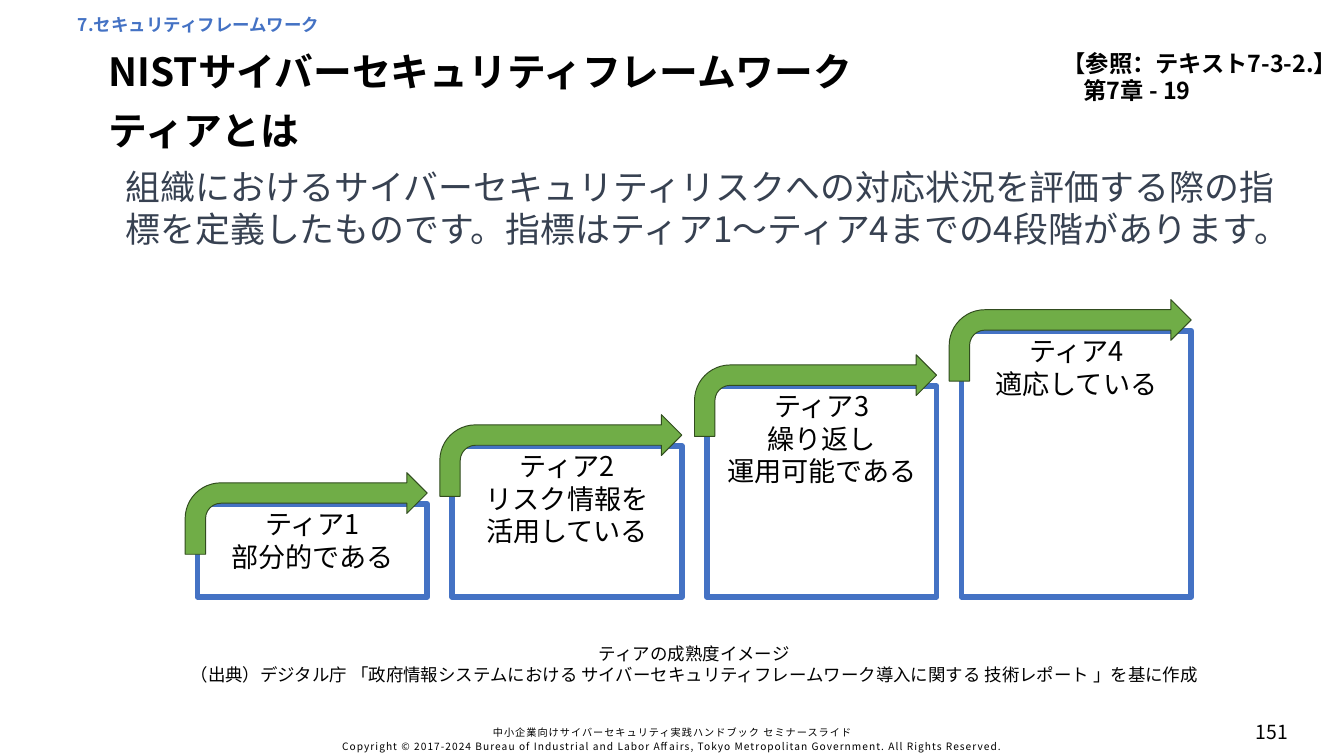
from dataclasses import dataclass

import pptx
import pptx.dml.color
import pptx.enum.shapes
import pptx.enum.text
import pptx.oxml.ns
import pptx.slide
import pptx.text.text
import pptx.util
from lxml import etree
from pptx.util import Cm

FONT = "Noto Sans CJK JP"
LEFT = pptx.enum.text.PP_ALIGN.LEFT
CENTER = pptx.enum.text.PP_ALIGN.CENTER
RIGHT = pptx.enum.text.PP_ALIGN.RIGHT
TOP = pptx.enum.text.MSO_ANCHOR.TOP
MIDDLE = pptx.enum.text.MSO_ANCHOR.MIDDLE

STEP_LEFT = 7.19
STEP_PITCH = 9.27
STEP_WIDTH = 8.36
STEP_BOTTOM = 21.72
ARROW_SHIFT_X = -0.45
ARROW_SHIFT_Y = -1.14
ARROW_WIDTH = 8.81
ARROW_HEIGHT = 2.97


@dataclass(frozen=True)
class Label:
    text: str
    left: float
    top: float
    width: float
    height: float
    size: float
    color: str = "000000"
    bold: bool = False
    aligns: tuple = (LEFT,)
    anchor: pptx.enum.text.MSO_ANCHOR = TOP
    line_spacing: float | pptx.util.Pt | None = None
    tracking: int = 0
    flush: bool = False


@dataclass(frozen=True)
class Tier:
    text: str
    top: float


LABELS = [
    Label("中小企業向けサイバーセキュリティ実践ハンドブック セミナースライド\n"
          "Copyright © 2017-2024 Bureau of Industrial and Labor Affairs, "
          "Tokyo Metropolitan Government. All Rights Reserved.",
          9.5, 26.24, 29.95, 1.3, 10.5, aligns=(CENTER, CENTER),
          anchor=MIDDLE, line_spacing=1.1, tracking=110),
    Label("ティアとは", 3.71, 3.96, 41.5, 1.78, 40, bold=True, line_spacing=0.9),
    Label("151", 44.15, 26.14, 4.29, 0.97, 20, aligns=(CENTER,), anchor=MIDDLE),
    Label("7.セキュリティフレームワーク", 2.84, 0.71, 44.4, 0.64, 18, "4472C4",
          bold=True, line_spacing=pptx.util.Pt(15), flush=True),
    Label("NISTサイバーセキュリティフレームワーク", 3.71, 1.93, 41.5, 1.55, 40,
          bold=True, anchor=MIDDLE, line_spacing=0.9),
    Label("組織におけるサイバーセキュリティリスクへの対応状況を評価する際の指標を"
          "定義したものです。指標はティア1～ティア4までの4段階があります。",
          4.32, 5.89, 42.93, 3.33, 36, "374151"),
    Label("ティアの成熟度イメージ\v（出典）デジタル庁 「政府情報システムにおける "
          "サイバーセキュリティフレームワーク導入に関する 技術レポート 」を基に作成",
          3.53, 23.29, 43.48, 1.8, 18, aligns=(CENTER,)),
    Label("【参照：テキスト7-3-2.】\n第7章 - 19", 33.86, 1.65, 15.06, 2.31, 24,
          bold=True, aligns=(RIGHT, CENTER)),
]

TIERS = [
    Tier("ティア1\n部分的である", 18.34),
    Tier("ティア2\nリスク情報を\n活用している", 16.23),
    Tier("ティア3\n繰り返し\n運用可能である", 14.05),
    Tier("ティア4\n適応している", 12.04),
]


def rgb(value: str) -> pptx.dml.color.RGBColor:
    return pptx.dml.color.RGBColor.from_string(value)


def style_run(run: pptx.text.text._Run, size: float, color: str,
              bold: bool = False, tracking: int = 0) -> None:
    run.font.name = FONT
    run.font.size = pptx.util.Pt(size)
    run.font.bold = bold
    run.font.color.rgb = rgb(color)
    properties = run.font._element
    east_asian = etree.SubElement(properties, pptx.oxml.ns.qn("a:ea"))
    east_asian.set("typeface", FONT)
    if tracking:
        properties.set("spc", str(tracking))


def add_label(slide: pptx.slide.Slide, label: Label) -> None:
    box = slide.shapes.add_textbox(Cm(label.left), Cm(label.top),
                                   Cm(label.width), Cm(label.height))
    frame = box.text_frame
    frame.word_wrap = True
    frame.vertical_anchor = label.anchor
    if label.flush:
        frame.margin_left = frame.margin_right = frame.margin_bottom = 0
        frame.margin_top = Cm(0.03)
    frame.text = label.text
    for paragraph, align in zip(frame.paragraphs, label.aligns):
        paragraph.alignment = align
        paragraph.line_spacing = label.line_spacing
        for run in paragraph.runs:
            style_run(run, label.size, label.color, label.bold, label.tracking)


def add_block(slide: pptx.slide.Slide, preset: pptx.enum.shapes.MSO_SHAPE,
              left: float, top: float, width: float, height: float,
              fill: str, line: str, line_width: float, text: str = "") -> None:
    block = slide.shapes.add_shape(preset, Cm(left), Cm(top), Cm(width), Cm(height))
    block.shadow.inherit = False
    block.fill.solid()
    block.fill.fore_color.rgb = rgb(fill)
    block.line.color.rgb = rgb(line)
    block.line.width = pptx.util.Pt(line_width)
    if not text:
        return
    frame = block.text_frame
    frame.word_wrap = True
    frame.vertical_anchor = TOP
    frame.text = text
    for paragraph in frame.paragraphs:
        paragraph.alignment = CENTER
        for run in paragraph.runs:
            style_run(run, 28, "000000")


def add_tier(slide: pptx.slide.Slide, index: int, tier: Tier) -> None:
    left = STEP_LEFT + index * STEP_PITCH
    add_block(slide, pptx.enum.shapes.MSO_SHAPE.RECTANGLE, left, tier.top,
              STEP_WIDTH, STEP_BOTTOM - tier.top, "FFFFFF", "4472C4", 6, tier.text)
    add_block(slide, pptx.enum.shapes.MSO_SHAPE.BENT_ARROW,
              left + ARROW_SHIFT_X, tier.top + ARROW_SHIFT_Y,
              ARROW_WIDTH, ARROW_HEIGHT, "70AD47", "314C1F", 1)


def main() -> None:
    deck = pptx.Presentation()
    deck.slide_width = Cm(48.92)
    deck.slide_height = Cm(27.51)
    slide = deck.slides.add_slide(deck.slide_layouts[6])
    for label in LABELS:
        add_label(slide, label)
    for index, tier in enumerate(TIERS):
        add_tier(slide, index, tier)
    deck.save("out.pptx")


if __name__ == "__main__":
    main()
